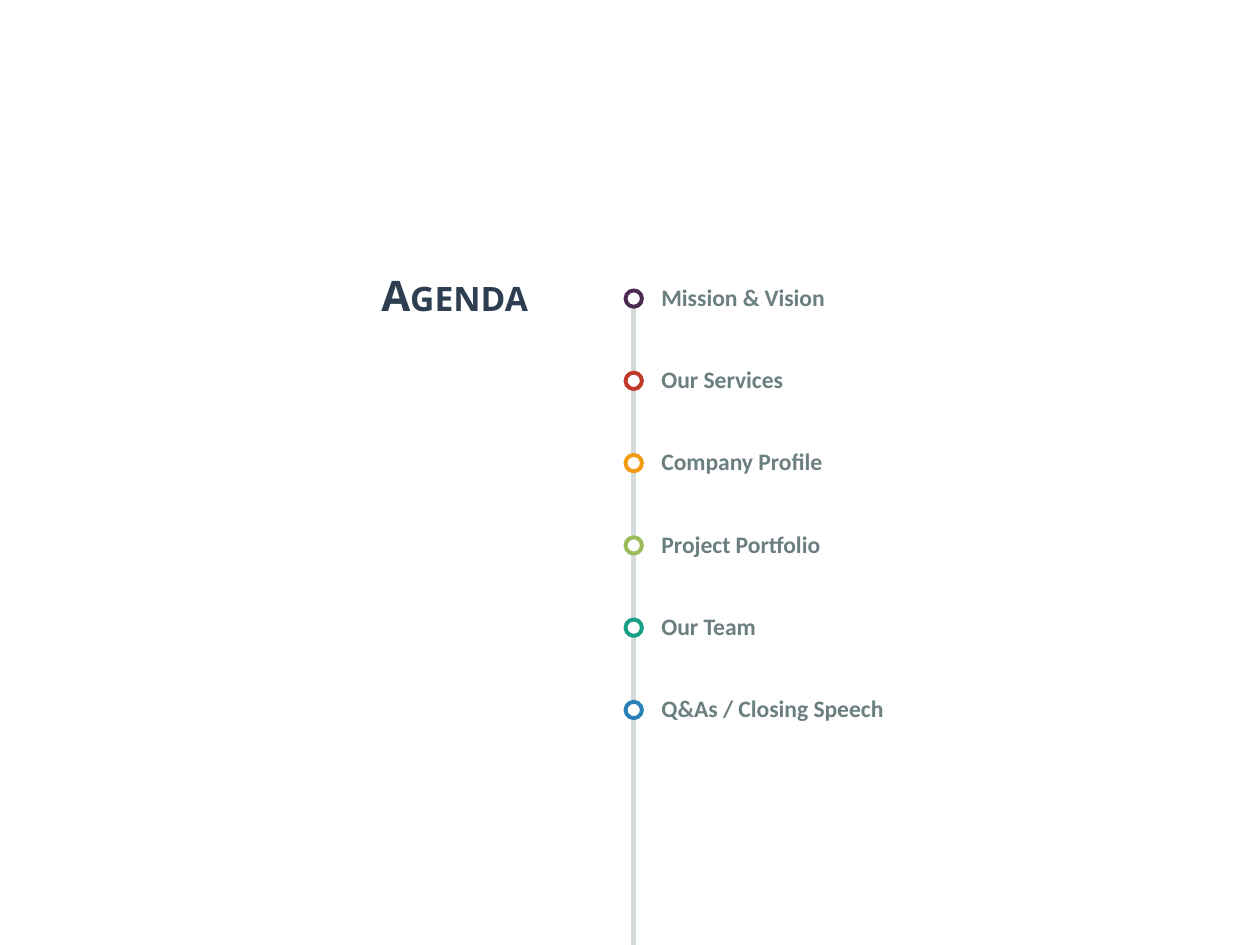
from dataclasses import dataclass

import pptx
import pptx.dml.color
import pptx.enum.shapes
import pptx.enum.text
import pptx.oxml.xmlchemy
import pptx.util
from lxml import etree
from pptx.util import Inches


@dataclass(frozen=True)
class Theme:
    title_font: str = "Open Sans"
    title_size: float = 24
    title_color: str = "2C3E50"
    item_font: str = "Calibri"
    item_size: float = 13.5
    item_color: str = "6C7F80"
    marker_fill: str = "FFFFFF"
    marker_width: float = 2.25
    timeline_color: str = "D5DBDB"
    timeline_width: float = 3


AGENDA = [
    ("Mission & Vision", "4B2C50"),
    ("Our Services", "C0392B"),
    ("Company Profile", "F39C12"),
    ("Project Portfolio", "9BBB59"),
    ("Our Team", "16A085"),
    ("Q&As / Closing Speech", "2980B9"),
]
TIMELINE_X = 5.03
FIRST_Y = 2.37
ITEM_PITCH = 0.653
MARKER_SIZE = 0.13
ITEM_HEIGHT = 0.36


def rgb(value):
    return pptx.dml.color.RGBColor.from_string(value)


class AgendaSlide:
    def __init__(self, slide, theme):
        self.slide = slide
        self.theme = theme

    def timeline(self, x, top, bottom):
        connector = self.slide.shapes.add_connector(
            pptx.enum.shapes.MSO_CONNECTOR.STRAIGHT,
            Inches(x), Inches(top), Inches(x), Inches(bottom))
        connector.line.color.rgb = rgb(self.theme.timeline_color)
        connector.line.width = pptx.util.Pt(self.theme.timeline_width)
        etree.SubElement(connector._element.spPr, pptx.oxml.ns.qn("a:effectLst"))

    def marker(self, center_x, center_y, color):
        shape = self.slide.shapes.add_shape(
            pptx.enum.shapes.MSO_SHAPE.OVAL,
            Inches(center_x - MARKER_SIZE / 2), Inches(center_y - MARKER_SIZE / 2),
            Inches(MARKER_SIZE), Inches(MARKER_SIZE))
        shape.shadow.inherit = False
        shape.fill.solid()
        shape.fill.fore_color.rgb = rgb(self.theme.marker_fill)
        shape.line.color.rgb = rgb(color)
        shape.line.width = pptx.util.Pt(self.theme.marker_width)

    def text(self, text, left, top, width, height, font_name, size, color):
        """Add a bold one-line text box and return its text frame."""
        box = self.slide.shapes.add_textbox(
            Inches(left), Inches(top), Inches(width), Inches(height))
        frame = box.text_frame
        frame.word_wrap = True
        frame.auto_size = pptx.enum.text.MSO_AUTO_SIZE.SHAPE_TO_FIT_TEXT
        frame.text = text
        font = frame.paragraphs[0].runs[0].font
        font.name = font_name
        font.size = pptx.util.Pt(size)
        font.bold = True
        font.color.rgb = rgb(color)
        return frame

    def item(self, text, left, center_y):
        theme = self.theme
        frame = self.text(text, left, center_y - ITEM_HEIGHT / 2, 3.33, ITEM_HEIGHT,
                          theme.item_font, theme.item_size, theme.item_color)
        frame.vertical_anchor = pptx.enum.text.MSO_ANCHOR.MIDDLE
        frame.margin_left = frame.margin_right = Inches(0.07)
        frame.margin_top = frame.margin_bottom = Inches(0.07)
        frame.paragraphs[0].line_spacing = 0.9

    def title(self, text, left, top, width, height):
        theme = self.theme
        frame = self.text(text, left, top, width, height,
                          theme.title_font, theme.title_size, theme.title_color)
        paragraph = frame.paragraphs[0]
        paragraph.alignment = pptx.enum.text.PP_ALIGN.RIGHT
        paragraph.runs[0]._r.get_or_add_rPr().set("cap", "small")


def main():
    presentation = pptx.Presentation()
    presentation.slide_width = Inches(10)
    presentation.slide_height = Inches(7.5)
    slide = presentation.slides.add_slide(presentation.slide_layouts[6])
    agenda = AgendaSlide(slide, Theme())

    agenda.timeline(TIMELINE_X, 2.31, 7.5)
    for index, (label, color) in enumerate(AGENDA):
        center_y = FIRST_Y + index * ITEM_PITCH
        agenda.marker(TIMELINE_X, center_y, color)
        agenda.item(label, 5.18, center_y)
    agenda.title("Agenda", 2.33, 2.09, 1.96, 0.5)

    presentation.save("out.pptx")


if __name__ == "__main__":
    main()
